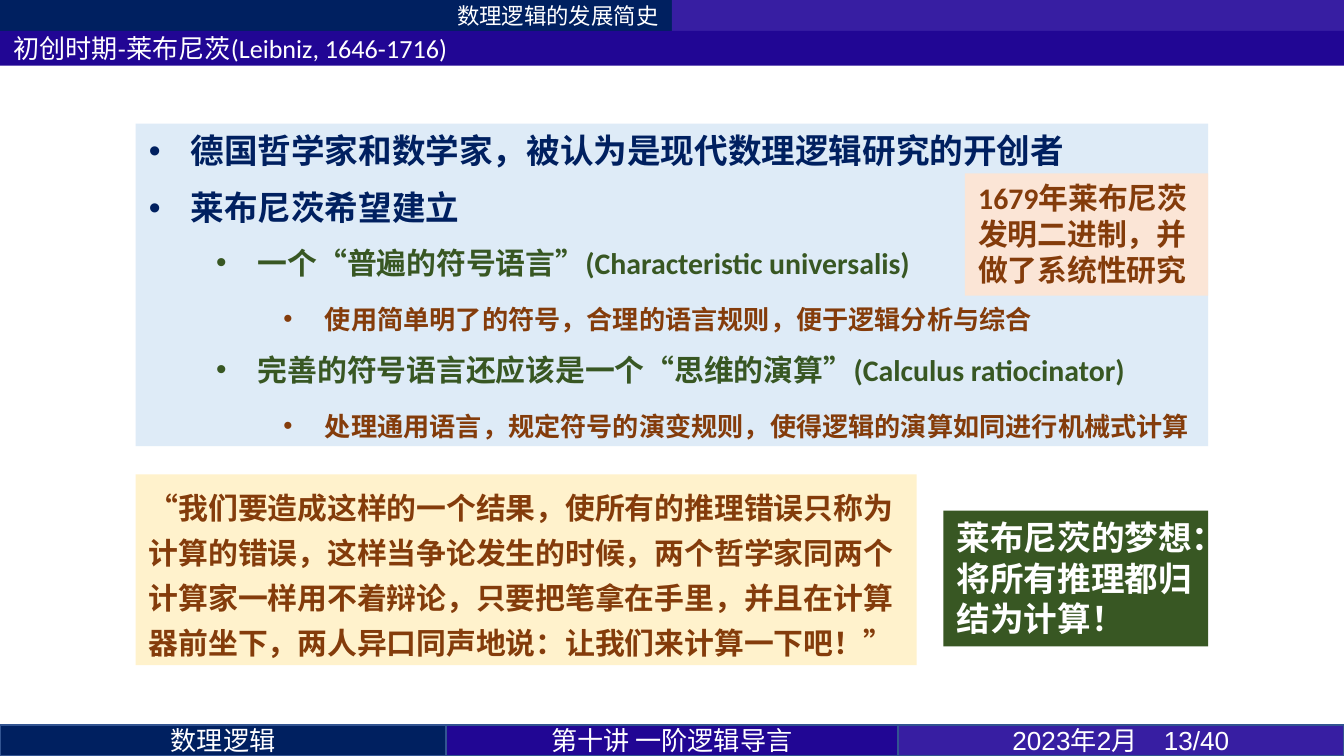
from lxml import etree
from pptx import Presentation
from pptx.dml.color import RGBColor
from pptx.enum.shapes import MSO_SHAPE
from pptx.enum.text import MSO_ANCHOR, MSO_AUTO_SIZE, PP_ALIGN
from pptx.oxml.ns import qn
from pptx.util import Emu, Inches, Pt

RECT = MSO_SHAPE.RECTANGLE
TOP, MIDDLE = MSO_ANCHOR.TOP, MSO_ANCHOR.MIDDLE
LEFT, CENTER, RIGHT = PP_ALIGN.LEFT, PP_ALIGN.CENTER, PP_ALIGN.RIGHT
GROW, FIXED = MSO_AUTO_SIZE.SHAPE_TO_FIT_TEXT, MSO_AUTO_SIZE.NONE

WHITE = RGBColor(0xFF, 0xFF, 0xFF)
NAVY = RGBColor(0x00, 0x20, 0x60)
INDIGO = RGBColor(0x21, 0x06, 0x94)
VIOLET = RGBColor(0x37, 0x1E, 0xA2)
EDGE = RGBColor(0x32, 0x54, 0x91)
PALE_BLUE = RGBColor(0xDE, 0xEB, 0xF7)
CREAM = RGBColor(0xFF, 0xF2, 0xCC)
PEACH = RGBColor(0xFB, 0xE5, 0xD6)
GREEN = RGBColor(0x38, 0x57, 0x23)
BROWN = RGBColor(0x84, 0x3C, 0x0B)

CJK, LATIN, ARIAL = "Noto Sans CJK SC", "Calibri", "Arial"
WIDTH = 10
HEIGHT = WIDTH * 9 / 16
BAR = 0.23
MARGIN = 1.01
INDENT = 0.31

# Format of each outline level: size, colour, font, line spacing
LEVELS = [
    dict(size=18, color=NAVY, font=CJK),
    dict(size=16, color=GREEN, font=LATIN),
    dict(size=14, color=BROWN, font=CJK, spacing=20),
]
OUTLINE = [
    (0, "德国哲学家和数学家，被认为是现代数理逻辑研究的开创者"),
    (0, "莱布尼茨希望建立"),
    (1, "一个“普遍的符号语言”(Characteristic universalis)"),
    (2, "使用简单明了的符号，合理的语言规则，便于逻辑分析与综合"),
    (1, "完善的符号语言还应该是一个“思维的演算”(Calculus ratiocinator)"),
    (2, "处理通用语言，规定符号的演变规则，使得逻辑的演算如同进行机械式计算"),
]
QUOTE = ("“我们要造成这样的一个结果，使所有的推理错误只称为计算的错误，"
         "这样当争论发生的时候，两个哲学家同两个计算家一样用不着辩论，"
         "只要把笔拿在手里，并且在计算器前坐下，"
         "两人异口同声地说：让我们来计算一下吧！”")
# Text, fill, font and width of each footer cell
FOOTER = [
    ("数理逻辑", NAVY, CJK, 3.32),
    ("第十讲 一阶逻辑导言", INDIGO, CJK, 3.36),
    ("2023年2月　13/40", VIOLET, ARIAL, 3.32),
]


def add_box(s, box, fill, line=None, anchor=TOP, grow=False):
    """Plain rectangle; box is left, top, width, height in inches."""
    sp = s.shapes.add_shape(RECT, *(Inches(v) for v in box))
    sp.shadow.inherit = False
    sp.fill.solid()
    sp.fill.fore_color.rgb = fill
    if line is None:
        sp.line.fill.background()
    else:
        sp.line.color.rgb = line
        sp.line.width = Pt(1)
    tf = sp.text_frame
    tf.word_wrap = True
    tf.vertical_anchor = anchor
    tf.auto_size = GROW if grow else FIXED
    return tf


def write(p, text, size=14, color=WHITE, font=CJK, bold=False, align=LEFT,
          spacing=None):
    p.alignment = align
    if spacing:
        p.line_spacing = Pt(spacing)
    r = p.add_run()
    r.text = text
    r.font.size = Pt(size)
    r.font.bold = bold
    r.font.color.rgb = color
    r.font.name = font
    etree.SubElement(r.font._element, qn("a:ea"), typeface=CJK)


def add_bullet(p, level):
    p.level = level
    p.space_before, p.space_after = Pt(6), Pt(3)
    pPr = p._p.get_or_add_pPr()
    pPr.set("marL", str(Emu(Inches(INDENT + level * 0.5))))
    pPr.set("indent", str(Emu(Inches(-INDENT))))
    etree.SubElement(pPr, qn("a:buFont"), typeface=ARIAL)
    etree.SubElement(pPr, qn("a:buChar"), char="•")


def header(s, box):
    x, y, w, h = box
    half = w / 2
    # Section bar in two halves
    tf = add_box(s, (x, y, half, BAR), NAVY, anchor=MIDDLE)
    write(tf.paragraphs[0], "数理逻辑的发展简史", size=12, align=RIGHT)
    add_box(s, (x + half, y, half, BAR), VIOLET)
    # Title bar
    tf = add_box(s, (x, y + BAR, w, h - BAR), INDIGO, anchor=MIDDLE)
    write(tf.paragraphs[0], "初创时期-莱布尼茨(Leibniz, 1646-1716)", font=LATIN)


def footer(s, box):
    x, y, _, h = box
    for text, fill, font, cell in FOOTER:
        tf = add_box(s, (x, y, cell, h), fill, EDGE, MIDDLE)
        write(tf.paragraphs[0], text, font=font, align=CENTER)
        x += cell


def outline(s, box):
    tf = add_box(s, box, PALE_BLUE, grow=True)
    for i, (level, text) in enumerate(OUTLINE):
        p = tf.add_paragraph() if i else tf.paragraphs[0]
        write(p, text, bold=True, **LEVELS[level])
        add_bullet(p, level)


def note(s, box, text, fill, **style):
    tf = add_box(s, box, fill, grow=True)
    write(tf.paragraphs[0], text, bold=True, **style)


def main():
    prs = Presentation()
    prs.slide_width, prs.slide_height = Inches(WIDTH), Inches(HEIGHT)
    s = prs.slides.add_slide(prs.slide_layouts[6])

    header(s, (0, 0, WIDTH, 0.49))
    footer(s, (0, HEIGHT - BAR, WIDTH, BAR))

    # Main points, quotation, conclusion and side remark
    right = WIDTH - MARGIN
    outline(s, (MARGIN, 0.92, right - MARGIN, 2.4))
    note(s, (MARGIN, 3.53, 5.81, 1.42), QUOTE, CREAM,
         size=16, color=BROWN, spacing=24)
    note(s, (right - 1.97, 3.8, 1.97, 1.01),
         "莱布尼茨的梦想：将所有推理都归结为计算！", GREEN, size=18, font=LATIN)
    note(s, (right - 1.81, 1.29, 1.81, 0.91),
         "1679年莱布尼茨发明二进制，并做了系统性研究", PEACH,
         size=16, color=BROWN, font=LATIN)

    prs.save("out.pptx")


if __name__ == "__main__":
    main()
